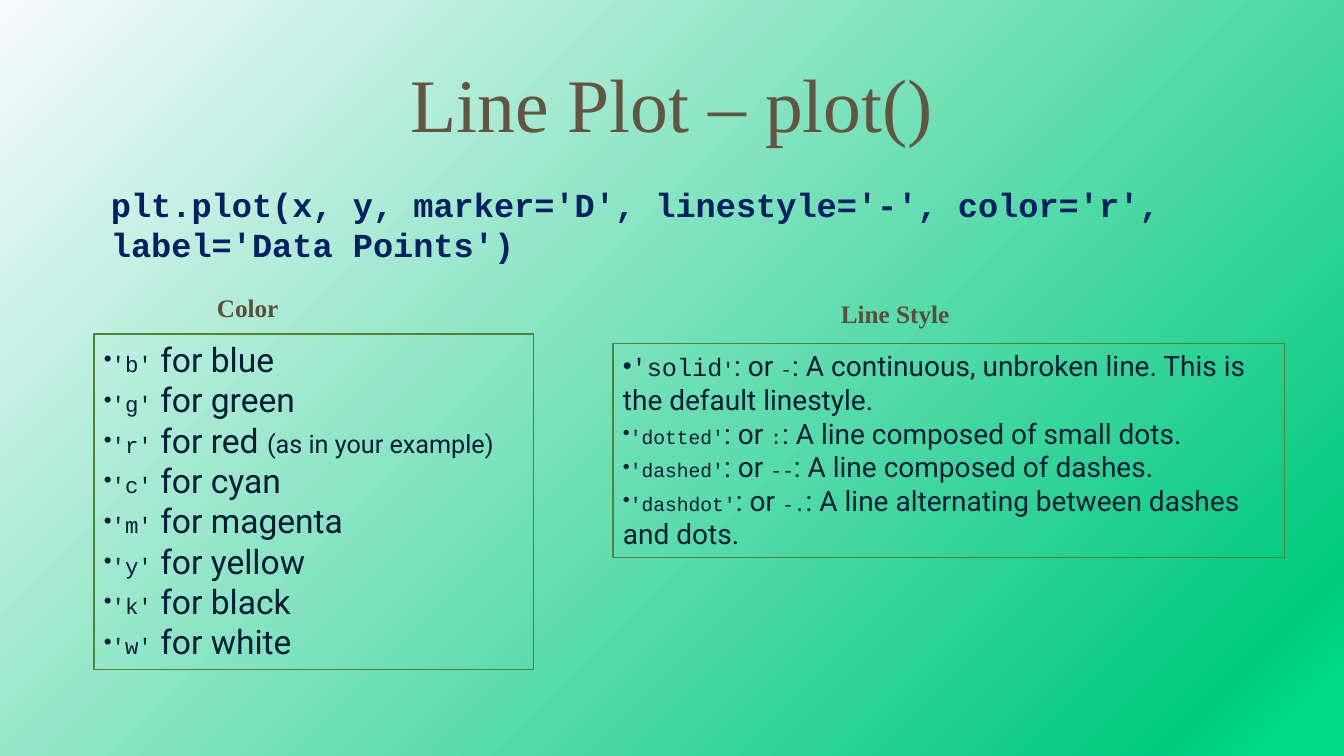
from dataclasses import dataclass

from lxml.etree import SubElement
from pptx import Presentation
from pptx.dml.color import RGBColor as RGB
from pptx.enum.shapes import MSO_SHAPE as Preset
from pptx.enum.text import MSO_ANCHOR as Anchor, MSO_AUTO_SIZE as AutoSize, PP_ALIGN as Align
from pptx.oxml.ns import qn
from pptx.util import Emu, Pt

EMU_PER_PX = 914400 / 100.8


@dataclass(frozen=True)
class Theme:
    title: str = "635540"
    heading: str = "5C4E3D"
    code: str = "002060"
    body: str = "001D35"
    border: str = "548235"
    backdrop: tuple = ((0, "F7FAFD"), (91, "00CA7D"), (96, "00D986"), (100, "00D986"))
    serif: str = "Times New Roman"
    mono: str = "Courier New"
    sans: str = "Roboto"
    title_size: int = 54
    code_size: int = 24
    heading_size: int = 18
    color_size: int = 24
    color_code_size: int = 16
    note_size: int = 18
    style_size: int = 20
    style_code_size: int = 14
    style_lead_size: int = 18


THEME = Theme()

COLORS = [
    ("b", "blue", ""),
    ("g", "green", ""),
    ("r", "red ", "(as in your example)"),
    ("c", "cyan", ""),
    ("m", "magenta", ""),
    ("y", "yellow", ""),
    ("k", "black", ""),
    ("w", "white", ""),
]
LINE_STYLES = [
    ("solid", "-", "A continuous, unbroken line. This is the default linestyle."),
    ("dotted", ":", "A line composed of small dots."),
    ("dashed", "--", "A line composed of dashes."),
    ("dashdot", "-.", "A line alternating between dashes and dots."),
]


def px(*lengths):
    return [Emu(round(length * EMU_PER_PX)) for length in lengths]


def add_text(paragraph, text, *, font, size, color, bold=False):
    run = paragraph.add_run()
    run.text = text
    run.font.name = font
    run.font.size = Pt(size)
    run.font.bold = bold
    run.font.color.rgb = RGB.from_string(color)


def add_bullet(paragraph):
    properties = paragraph._p.get_or_add_pPr()
    SubElement(properties, qn("a:buFont"), typeface="Arial")
    SubElement(properties, qn("a:buChar"), char="•")


def paint_backdrop(slide):
    fill = slide.background.fill
    fill.gradient()
    fill.gradient_angle = 315
    stops = slide.background._cSld.find(".//" + qn("a:gsLst"))
    for stop in list(stops):
        stops.remove(stop)
    for percent, color in THEME.backdrop:
        stop = SubElement(stops, qn("a:gs"), pos=str(percent * 1000))
        SubElement(stop, qn("a:srgbClr"), val=color)


def add_label(slide, area, text, **style):
    frame = slide.shapes.add_textbox(*px(*area)).text_frame
    frame.word_wrap = True
    add_text(frame.paragraphs[0], text, **style)
    return frame


def add_bordered_list(slide, area, entries):
    panel = slide.shapes.add_shape(Preset.RECTANGLE, *px(*area))
    panel.shadow.inherit = False
    panel.fill.background()
    panel.line.color.rgb = RGB.from_string(THEME.border)
    panel.line.width = Pt(0.75)
    frame = panel.text_frame
    frame.word_wrap = True
    frame.auto_size = AutoSize.SHAPE_TO_FIT_TEXT
    frame.vertical_anchor = Anchor.TOP
    for index, pieces in enumerate(entries):
        paragraph = frame.add_paragraph() if index else frame.paragraphs[0]
        paragraph.alignment = Align.LEFT
        add_bullet(paragraph)
        for text, font, size in pieces:
            add_text(paragraph, text, font=font, size=size, color=THEME.body)


def color_entry(code, name, note):
    pieces = [
        (f"'{code}'", THEME.mono, THEME.color_code_size),
        (f" for {name}", THEME.sans, THEME.color_size),
    ]
    if note:
        pieces.append((note, THEME.sans, THEME.note_size))
    return pieces


def style_entry(name, symbol, meaning):
    lead_size = THEME.style_lead_size if name == "solid" else THEME.style_code_size
    return [
        (f"'{name}", THEME.mono, lead_size),
        ("'", THEME.mono, THEME.style_code_size),
        (": or ", THEME.sans, THEME.style_size),
        (symbol, THEME.mono, THEME.style_code_size),
        (f": {meaning}", THEME.sans, THEME.style_size),
    ]


def main():
    deck = Presentation()
    deck.slide_width, deck.slide_height = px(1344, 756)
    slide = deck.slides.add_slide(deck.slide_layouts[6])
    paint_backdrop(slide)

    title = add_label(slide, (294, 54, 756, 100), "Line Plot – plot()",
                      font=THEME.serif, size=THEME.title_size, color=THEME.title)
    title.vertical_anchor = Anchor.BOTTOM
    title.paragraphs[0].alignment = Align.CENTER
    title.paragraphs[0].line_spacing = 0.9

    add_label(slide, (101, 179, 1215, 92),
              "plt.plot(x, y, marker='D', linestyle='-', color='r', label='Data Points')",
              font=THEME.mono, size=THEME.code_size, color=THEME.code, bold=True)

    for heading, area in (("Color", (207, 287, 107, 40)), ("Line Style", (831, 293, 146, 40))):
        add_label(slide, area, heading, font=THEME.serif, size=THEME.heading_size,
                  color=THEME.heading, bold=True)

    add_bordered_list(slide, (94, 334, 440, 336), [color_entry(*row) for row in COLORS])
    add_bordered_list(slide, (613, 344, 672, 214), [style_entry(*row) for row in LINE_STYLES])

    deck.save("out.pptx")


if __name__ == "__main__":
    main()
